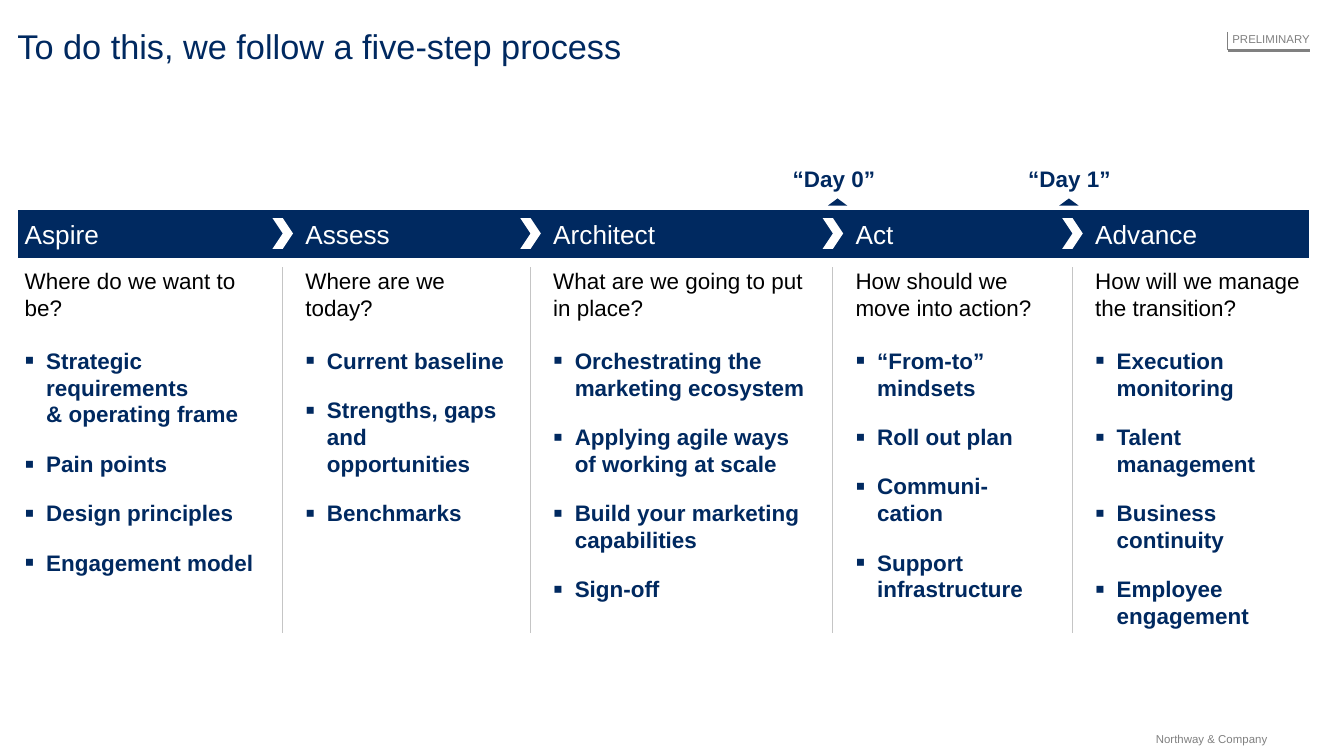
from lxml import etree
from pptx import Presentation
from pptx.dml.color import RGBColor
from pptx.enum import shapes, text
from pptx.oxml import ns
from pptx.util import Inches, Pt

NAVY = RGBColor(0x00, 0x29, 0x60)
GRAY = RGBColor(0x80, 0x80, 0x80)
RULE = RGBColor(0xC5, 0xC5, 0xC5)
BLACK = RGBColor(0, 0, 0)
WHITE = RGBColor(255, 255, 255)
SHAPE = shapes.MSO_SHAPE
LEFT, MID, RIGHT = text.PP_ALIGN.LEFT, text.PP_ALIGN.CENTER, text.PP_ALIGN.RIGHT
BODY = 15.7

STEPS = [
    (0.24, 2.27, "Aspire", "Where do we want to be?",
     ["Strategic requirements \v& operating frame", "Pain points",
      "Design principles", "Engagement model"]),
    (2.97, 1.97, "Assess", "Where are we today?",
     ["Current baseline", "Strengths, gaps and opportunities", "Benchmarks"]),
    (5.38, 2.49, "Architect", "What are we going to put in place?",
     ["Orchestrating the marketing ecosystem",
      "Applying agile ways of working at scale",
      "Build your marketing capabilities", "Sign-off"]),
    (8.32, 1.88, "Act", "How should we \vmove into action?",
     ["“From-to” mindsets", "Roll out plan", "Communi-cation",
      "Support infrastructure"]),
    (10.65, 2.02, "Advance", "How will we manage the transition?",
     ["Execution monitoring", "Talent management", "Business continuity",
      "Employee engagement"]),
]


def add_bullet(para):
    props = para._p.get_or_add_pPr()
    props.set("marL", str(Inches(0.21)))
    props.set("indent", str(-Inches(0.21)))
    color = etree.SubElement(props, ns.qn("a:buClr"))
    etree.SubElement(color, ns.qn("a:srgbClr"), val=str(NAVY))
    etree.SubElement(props, ns.qn("a:buSzPct"), val="125000")
    etree.SubElement(props, ns.qn("a:buFont"), typeface="Arial")
    etree.SubElement(props, ns.qn("a:buChar"), char="▪")


def add_text(slide, box, lines, size, color, bold=False, align=LEFT,
             wrap=True, bullet=False):
    frame = slide.shapes.add_textbox(*map(Inches, box)).text_frame
    frame.word_wrap = wrap
    frame.margin_left = frame.margin_right = 0
    frame.margin_top = frame.margin_bottom = 0
    for i, line in enumerate(lines):
        para = frame.add_paragraph() if i else frame.paragraphs[0]
        para.text = line
        para.alignment = align
        if bullet:
            add_bullet(para)
        if i:
            para.space_before = Pt(size)
        font = para.font
        font.name, font.size, font.bold = "Arial", Pt(size), bold
        font.color.rgb = color


def add_shape(slide, kind, box, fill):
    shape = slide.shapes.add_shape(kind, *map(Inches, box))
    shape.shadow.inherit = False
    shape.fill.solid()
    shape.fill.fore_color.rgb = fill
    shape.line.fill.background()
    return shape


def add_line(slide, ends, color, width):
    line = slide.shapes.add_connector(
        shapes.MSO_CONNECTOR.STRAIGHT, *map(Inches, ends))
    line.line.color.rgb = color
    line.line.width = Pt(width)
    etree.SubElement(line._element.spPr, ns.qn("a:effectLst"))


def add_tag(slide, x, y, w, h):
    add_text(slide, (x + 0.04, y, w - 0.04, h - 0.04), ["PRELIMINARY"],
             8, GRAY, align=RIGHT, wrap=False)
    add_line(slide, (x, y, x, y + h), GRAY, 0.75)
    add_line(slide, (x, y + h, x + w, y + h), GRAY, 2)


def add_step(slide, step, top, first):
    x, w, name, ask, items = step
    add_text(slide, (x, top + 0.08, w, 0.31), [name], 18.3, WHITE)
    add_text(slide, (x, top + 0.56, w, 0.53), [ask], BODY, BLACK)
    add_text(slide, (x, top + 1.33, w, 2.78), items, BODY, NAVY,
             bold=True, bullet=True)
    if not first:
        mid = x - 0.22
        add_line(slide, (mid, top + 0.56, mid, top + 4.11), RULE, 0.75)
        add_shape(slide, SHAPE.CHEVRON, (mid - 0.1, top + 0.08, 0.2, 0.3), WHITE)


def add_day(slide, label, mid, tip, top):
    add_text(slide, (mid - 0.6, top, 1.2, 0.26), [label], BODY, NAVY,
             bold=True, align=MID)
    add_shape(slide, SHAPE.ISOSCELES_TRIANGLE,
              (tip - 0.1, top + 0.32, 0.19, 0.07), NAVY)


def add_flow(slide, x, y, w):
    bar = add_shape(slide, SHAPE.RECTANGLE, (x, y, w, 0.47), NAVY)
    bar.line.color.rgb = WHITE
    bar.line.width = Pt(0.75)
    for i, step in enumerate(STEPS):
        add_step(slide, step, y, i == 0)
    add_day(slide, "“Day 0”", 8.11, 8.15, y - 0.43)
    add_day(slide, "“Day 1”", 10.4, 10.4, y - 0.43)


def main():
    deck = Presentation()
    deck.slide_width, deck.slide_height = Inches(13.07), Inches(7.35)
    slide = deck.slides.add_slide(deck.slide_layouts[6])
    add_text(slide, (0.17, 0.25, 11.5, 0.4),
             ["To do this, we follow a five-step process"], 24, NAVY)
    add_tag(slide, 11.94, 0.31, 0.8, 0.18)
    add_flow(slide, 0.17, 2.04, 12.57)
    add_text(slide, (11.24, 7.12, 1.11, 0.13), ["Northway & Company"],
             8, GRAY, wrap=False)
    deck.save("out.pptx")


if __name__ == "__main__":
    main()
